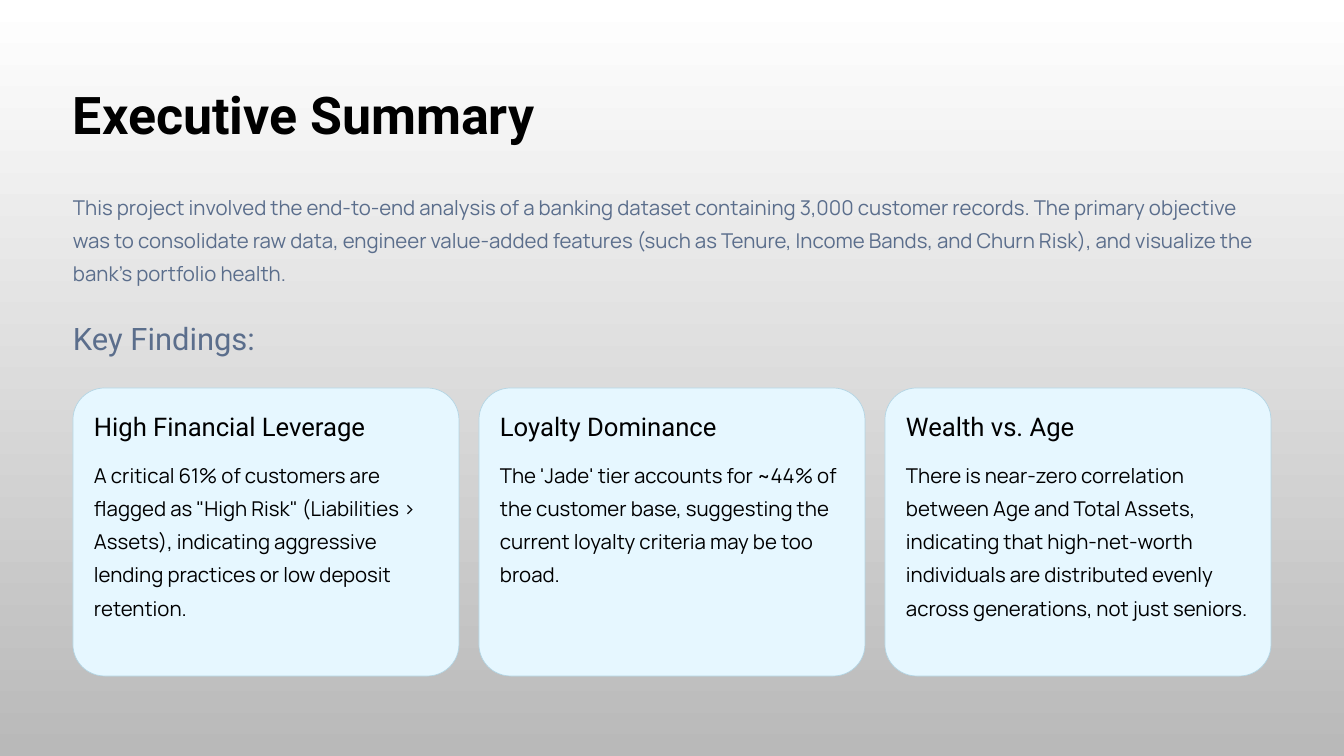
from dataclasses import dataclass

from pptx import Presentation
from pptx.dml.color import RGBColor
from pptx.enum import shapes, text
from pptx.slide import Slide
from pptx import util as u

EMU_PER_PX = 914400 / 84
BLACK = RGBColor(0x00, 0x00, 0x00)
WHITE = RGBColor(0xFF, 0xFF, 0xFF)
GREY = RGBColor(0xB9, 0xB9, 0xB9)
SLATE = RGBColor(0x5B, 0x6E, 0x8C)
ICE = RGBColor(0xE6, 0xF7, 0xFF)
ICE_EDGE = RGBColor(0xB3, 0xD5, 0xE4)
HEADING_FONT = "Roboto"
BODY_FONT = "Manrope"

MARGIN = 73
CONTENT_WIDTH = 1198
CARD_TOP, CARD_WIDTH, CARD_HEIGHT = 388, 386, 288
CARD_GAP = 20
CARD_PADDING = 21


@dataclass(frozen=True)
class Finding:
    """A key finding shown on one card."""
    heading: str
    body: str


FINDINGS = [
    Finding("High Financial Leverage",
            'A critical 61% of customers are flagged as "High Risk" (Liabilities > Assets), '
            "indicating aggressive lending practices or low deposit retention."),
    Finding("Loyalty Dominance",
            "The 'Jade' tier accounts for ~44% of the customer base, suggesting the current "
            "loyalty criteria may be too broad."),
    Finding("Wealth vs. Age",
            "There is near-zero correlation between Age and Total Assets, indicating that "
            "high-net-worth individuals are distributed evenly across generations, "
            "not just seniors."),
]
INTRODUCTION = (
    "This project involved the end-to-end analysis of a banking dataset containing 3,000 "
    "customer records. The primary objective was to consolidate raw data, engineer "
    "value-added features (such as Tenure, Income Bands, and Churn Risk), and visualize "
    "the bank's portfolio health."
)


def px(length: int) -> u.Emu:
    """Turn pixels into EMU."""
    return u.Emu(round(length * EMU_PER_PX))


def add_text(page: Slide, content: str, left: int, top: int, width: int, height: int, *,
             size: float, leading: float, font: str = HEADING_FONT,
             color: RGBColor = BLACK, bold: bool = False, wrap: bool = False) -> None:
    """Add a text box without insets and with exact line spacing."""
    box = page.shapes.add_textbox(px(left), px(top), px(width), px(height))
    frame = box.text_frame
    frame.margin_left = frame.margin_top = frame.margin_right = frame.margin_bottom = 0
    frame.word_wrap = wrap
    frame.vertical_anchor = text.MSO_ANCHOR.TOP
    para = frame.paragraphs[0]
    para.line_spacing = u.Pt(leading)
    span = para.add_run()
    span.text = content
    span.font.name = font
    span.font.size = u.Pt(size)
    span.font.bold = bold
    span.font.color.rgb = color


def add_body(page: Slide, content: str, left: int, top: int, width: int, height: int,
             color: RGBColor = BLACK) -> None:
    """Add a wrapped paragraph in the body style."""
    add_text(page, content, left, top, width, height, size=17.5, leading=28.5,
             font=BODY_FONT, color=color, wrap=True)


def add_card(page: Slide, finding: Finding, left: int) -> None:
    """Add a rounded card with its heading and body."""
    card = page.shapes.add_shape(shapes.MSO_SHAPE.ROUNDED_RECTANGLE, px(left), px(CARD_TOP),
                                 px(CARD_WIDTH), px(CARD_HEIGHT))
    card.adjustments[0] = 0.11
    card.shadow.inherit = False
    card.fill.solid()
    card.fill.fore_color.rgb = ICE
    card.line.color.rgb = ICE_EDGE
    card.line.width = u.Pt(0.6)
    text_left = left + CARD_PADDING
    text_width = CARD_WIDTH - 2 * CARD_PADDING
    add_text(page, finding.heading, text_left, CARD_TOP + 22, text_width, 33,
             size=22, leading=27.5)
    add_body(page, finding.body, text_left, CARD_TOP + 66, text_width, 200)


def paint_background(page: Slide) -> None:
    """Fill the page from white at the top to grey at the bottom."""
    fill = page.background.fill
    fill.gradient()
    fill.gradient_angle = 270
    for stop, color in zip(fill.gradient_stops, (WHITE, GREY)):
        stop.color.rgb = color


def main() -> None:
    """Build the executive summary slide."""
    deck = Presentation()
    deck.slide_width, deck.slide_height = px(1344), px(756)
    page = deck.slides.add_slide(deck.slide_layouts[6])
    paint_background(page)
    add_text(page, "Executive Summary", MARGIN, 80, 522, 66, size=44.5, leading=55.5, bold=True)
    add_body(page, INTRODUCTION, MARGIN, 186, CONTENT_WIDTH, 100, color=SLATE)
    add_text(page, "Key Findings:", MARGIN, 318, 312, 39, size=26.5, leading=33, color=SLATE)
    for index, finding in enumerate(FINDINGS):
        add_card(page, finding, MARGIN + index * (CARD_WIDTH + CARD_GAP))
    deck.save("out.pptx")


if __name__ == "__main__":
    main()
